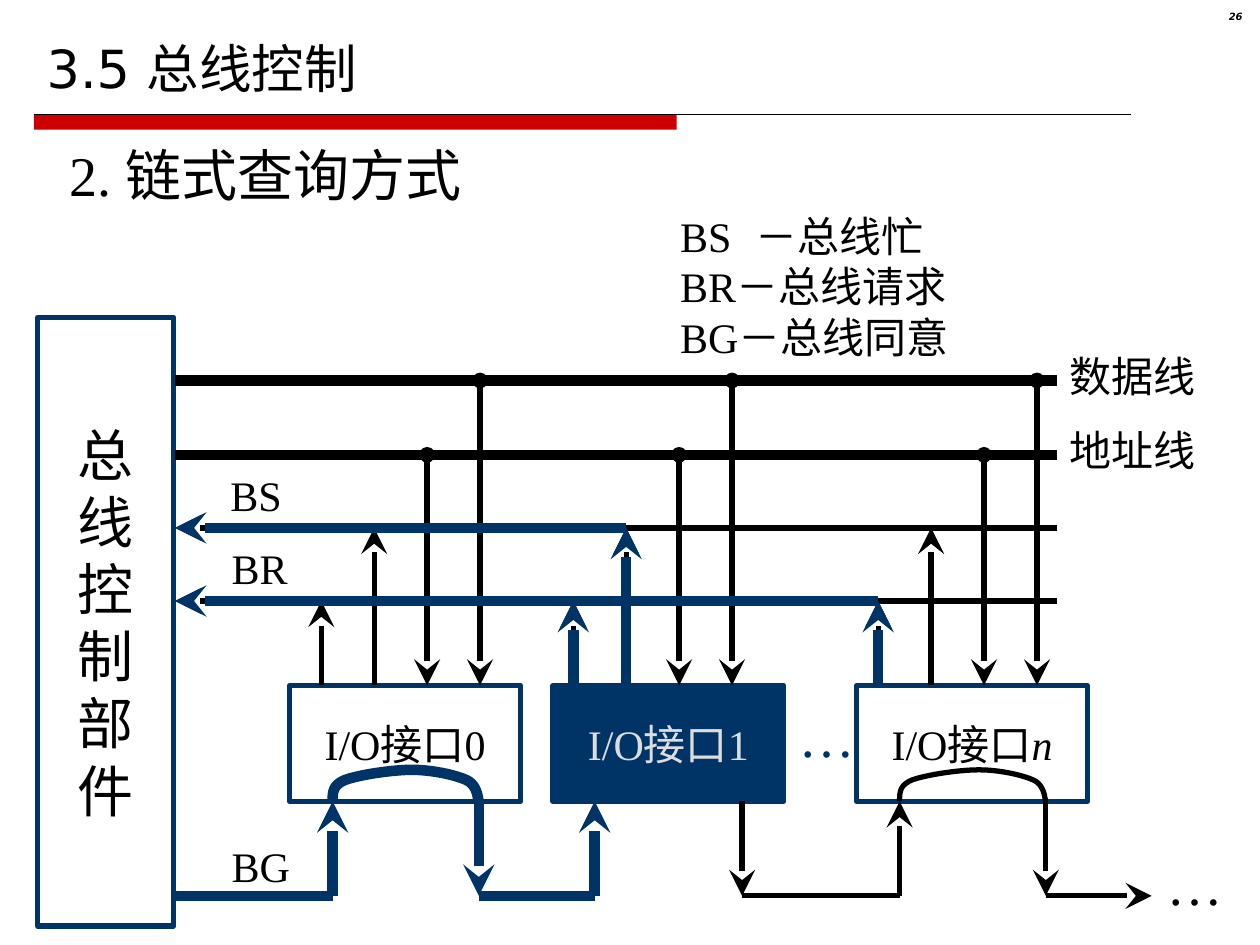
from itertools import pairwise

from pptx import Presentation
from pptx.dml.color import RGBColor
from pptx.enum.shapes import MSO_CONNECTOR, MSO_SHAPE
from pptx.enum.text import MSO_ANCHOR as ANCHOR, PP_ALIGN as ALIGN
from pptx.oxml.ns import qn
from pptx.util import Inches, Pt
from lxml.etree import SubElement

BLACK, NAVY, RED, LIGHT = "000000", "003366", "CC0000", "DDDDDD"
rgb = RGBColor.from_string


def write(sp, text, size=24, font="Times New Roman", color=BLACK, align=ALIGN.LEFT,
          anchor=ANCHOR.TOP, wrap=True, bold=False, italic=False, italic_end=""):
    """Fill sp with one paragraph per line; italic_end is added in italics."""
    tf = sp.text_frame
    tf.word_wrap, tf.vertical_anchor = wrap, anchor
    for i, line in enumerate(text.split("\n")):
        p = tf.add_paragraph() if i else tf.paragraphs[0]
        p.alignment = align
        for part, slanted in ((line, italic), (italic_end, True)):
            if part:
                r = p.add_run()
                r.text = part
                r.font.name, r.font.size = font, Pt(size)
                r.font.bold, r.font.italic = bold, slanted
                r.font.color.rgb = rgb(color)
    return tf


def wire(points, color=BLACK, width=3, head=None, tail=None):
    """Draw a connector through two points, or an open outline through more."""
    pts = [(Inches(x), Inches(y)) for x, y in points]
    if len(pts) == 2:
        s = shapes.add_connector(MSO_CONNECTOR.STRAIGHT, *pts[0], *pts[1])
    else:
        builder = shapes.build_freeform(*pts[0])
        builder.add_line_segments(pts[1:], close=False)
        s = builder.convert_to_shape()
        s.fill.background()
    s.line.color.rgb, s.line.width = rgb(color), Pt(width)
    ln = s.line._get_or_add_ln()
    for tag, end in (("a:headEnd", head), ("a:tailEnd", tail)):
        if end:
            scale = "lg" if end == "stealth" and width == 3 else "med"
            SubElement(ln, qn(tag), type=end, w=scale, len=scale)
    SubElement(s._element.spPr, qn("a:effectLst"))


prs = Presentation()
prs.slide_width, prs.slide_height = Inches(10), Inches(7.5)
slide = prs.slides.add_slide(prs.slide_layouts[5])
shapes = slide.shapes

# Heading
title = shapes.title
title.left, title.top, title.width, title.height = map(Inches, (0.27, 0.13, 9.45, 0.71))
write(title, "3.5 总线控制", size=30, font="DejaVu Sans", anchor=ANCHOR.BOTTOM)
bar = shapes.add_shape(MSO_SHAPE.RECTANGLE, *map(Inches, (0.27, 0.91, 5.1, 0.12)))
bar.shadow.inherit = False
bar.fill.solid()
bar.fill.fore_color.rgb = rgb(RED)
bar.line.fill.background()
wire([(0.27, 0.91), (8.98, 0.91)], width=0.75)

number = shapes.add_textbox(*map(Inches, (9.37, 0.05, 0.59, 0.23)))
tf = write(number, "26", size=5.7, font="DejaVu Sans", align=ALIGN.RIGHT,
           bold=True, italic=True)
tf.paragraphs[0].line_spacing = 0.8

# Boxes
boxes = [
    ((0.3, 2.52, 1.08, 4.83), "\n".join("总线控制部件"), 32, "", False),
    ((2.3, 5.44, 1.83, 0.92), "I/O接口0", 24, "", False),
    ((4.39, 5.44, 1.83, 0.92), "I/O接口1", 24, "", True),
    ((6.8, 5.44, 1.83, 0.92), "I/O接口", 24, "n", False),
]
for at, text, size, italic_end, active in boxes:
    s = shapes.add_shape(MSO_SHAPE.RECTANGLE, *map(Inches, at))
    s.shadow.inherit = False
    s.line.color.rgb, s.line.width = rgb(NAVY), Pt(3)
    if active:
        s.fill.solid()
        s.fill.fore_color.rgb = rgb(NAVY)
    else:
        s.fill.background()
    write(s, text, size=size, color=LIGHT if active else BLACK, align=ALIGN.CENTER,
          anchor=ANCHOR.MIDDLE, wrap=False, italic_end=italic_end)

# Bus lines
bus_left, bus_right, port_top, port_bottom, grant_y = 1.39, 8.39, 5.44, 6.36, 7.11
data_y, address_y, bs_y, br_y = 3.02, 3.61, 4.19, 4.77
for y, width, head in ((data_y, 6, None), (address_y, 6, None),
                       (bs_y, 3, "stealth"), (br_y, 3, "stealth")):
    wire([(bus_left, y), (bus_right, y)], width=width, head=head)

# Four links from each interface to the buses
for x in (2.55, 4.55, 6.97):
    for i, y in enumerate((br_y, bs_y)):
        wire([(x + 0.42 * i, port_top), (x + 0.42 * i, y)], tail="stealth")
    for i, y in enumerate((address_y, data_y), start=2):
        wire([(x + 0.42 * i, y), (x + 0.42 * i, port_top)], head="oval", tail="stealth")

# Active request and busy signals
wire([(4.97, bs_y), (bus_left, bs_y)], NAVY, 6, tail="stealth")
wire([(6.97, br_y), (bus_left, br_y)], NAVY, 6, tail="stealth")
for x, y in ((4.55, br_y), (6.97, br_y), (4.97, bs_y)):
    wire([(x, port_top), (x, y)], NAVY, 6, tail="stealth")

# Grant chain: legs with an arrowhead on the upright ones, then the arcs
active_chain = [(bus_left, grant_y), (2.64, grant_y), (2.64, port_bottom)]
active_hop = [(3.8, port_bottom), (3.8, grant_y), (4.72, grant_y), (4.72, port_bottom)]
idle_hop = [(5.89, port_bottom), (5.89, grant_y), (7.14, grant_y), (7.14, port_bottom)]
idle_exit = [(8.3, port_bottom), (8.3, grant_y)]
for chain, color, width in ((active_chain, NAVY, 6), (active_hop, NAVY, 6),
                            (idle_hop, BLACK, 3), (idle_exit, BLACK, 3)):
    for start, end in pairwise(chain):
        wire([start, end], color, width, tail="stealth" if start[0] == end[0] else None)
wire([(8.3, grant_y), (9.14, grant_y)], tail="stealth")

arc_controls = [(0, 0.25), (0, 0.18), (0, 0.12), (0.1, 0.08), (0.21, 0.04), (0.47, 0),
                (0.63, 0), (0.79, 0), (0.97, 0.04), (1.06, 0.08), (1.15, 0.12),
                (1.15, 0.22), (1.16, 0.25)]
steps = 10
arc = [arc_controls[0]]
for k in range(0, len(arc_controls) - 1, 3):
    for step in range(1, steps + 1):
        t = step / steps
        weights = ((1 - t) ** 3, 3 * t * (1 - t) ** 2, 3 * t * t * (1 - t), t ** 3)
        arc.append(tuple(sum(w * c[axis] for w, c in zip(weights, arc_controls[k:k + 4]))
                         for axis in (0, 1)))
for x, color, width in ((2.64, NAVY, 6), (7.14, BLACK, 3)):
    wire([(x + dx, 6.11 + dy) for dx, dy in arc], color, width)

# Labels
labels = [
    ("2. 链式查询方式", (0.45, 1.07, 4.82, 0.64), 32, BLACK),
    ("BS", (1.73, 3.68, 0.75, 0.5), 24, BLACK),
    ("BR", (1.74, 4.26, 0.75, 0.5), 24, BLACK),
    ("BG", (1.74, 6.62, 0.75, 0.5), 24, BLACK),
    ("数据线", (8.39, 2.73, 1.3, 0.5), 24, BLACK),
    ("地址线", (8.39, 3.32, 1.3, 0.5), 24, BLACK),
    ("…", (6.24, 5.52, 0.75, 0.64), 32, NAVY),
    ("…", (9.16, 6.69, 0.75, 0.64), 32, BLACK),
]
for text, at, size, color in labels:
    write(shapes.add_textbox(*map(Inches, at)), text, size=size, color=color)

legend = shapes.add_textbox(*map(Inches, (5.3, 1.62, 2.97, 1.3)))
tf = write(legend, "BS\t－总线忙\nBR－总线请求\nBG－总线同意")
tabs = SubElement(tf.paragraphs[0]._p.get_or_add_pPr(), qn("a:tabLst"))
SubElement(tabs, qn("a:tab"), pos=str(Inches(0.6)), algn="l")

prs.save("out.pptx")
